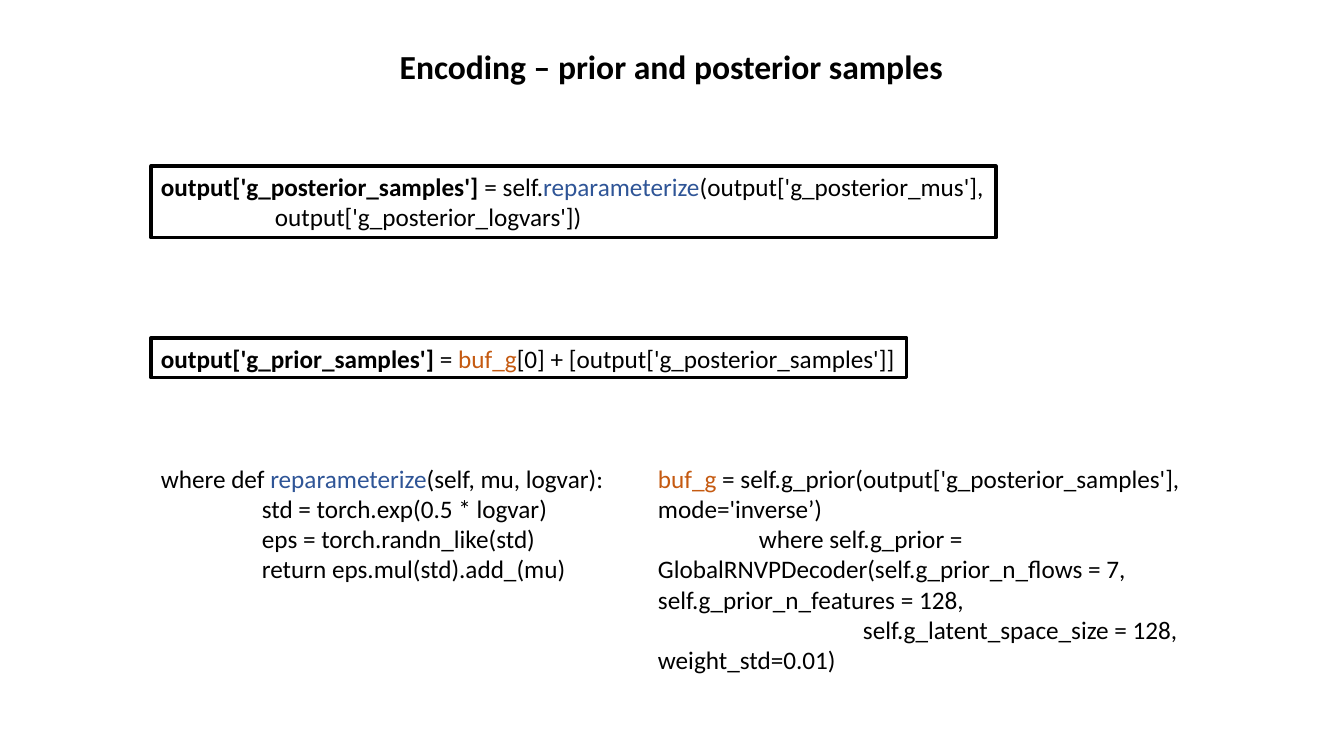
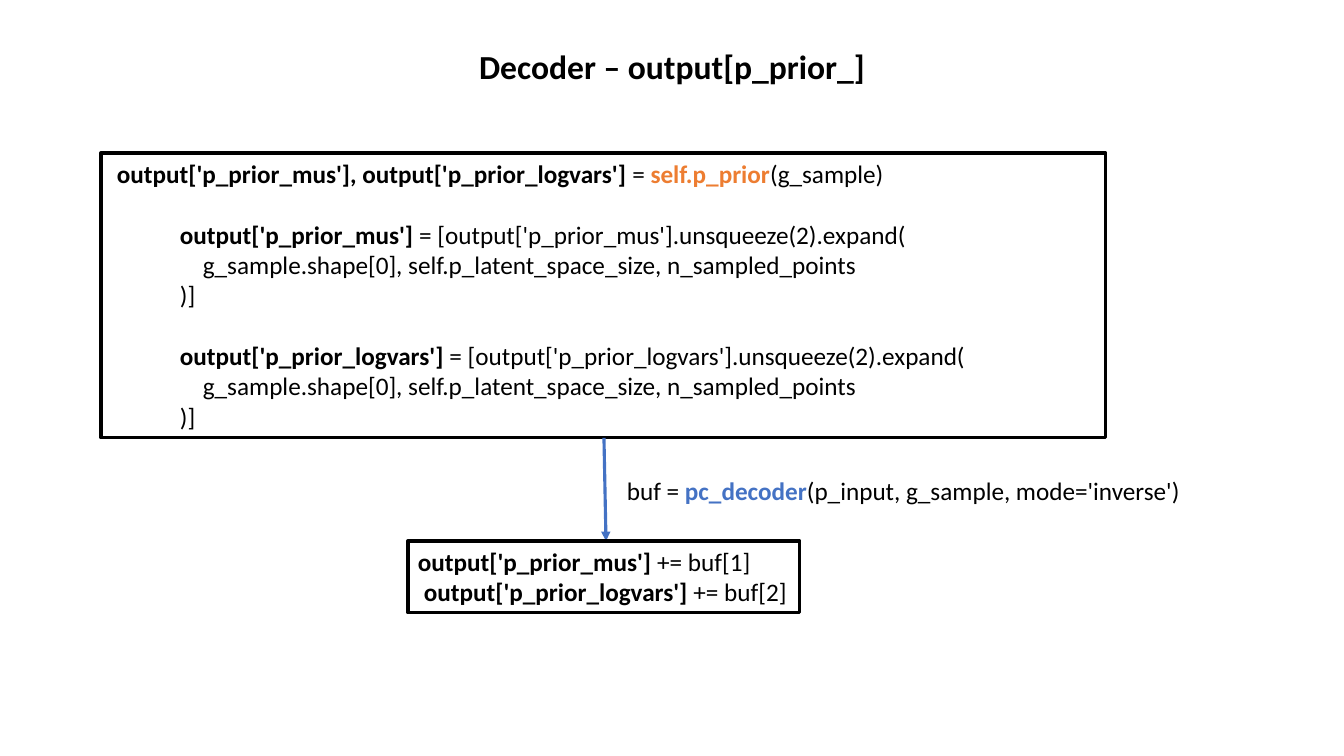
from dataclasses import dataclass

from lxml import etree
from pptx import Presentation, util as u
from pptx.dml.color import RGBColor
from pptx.enum import shapes, text
from pptx.oxml.ns import qn

SCALE = 914400 / 100.8


@dataclass(frozen=True)
class Theme:
    """Colours, font and sizes that the slides share."""
    font: str = "Calibri"
    ink: str = "000000"
    navy: str = "2F5597"
    rust: str = "C55A11"
    orange: str = "ED7D31"
    blue: str = "4472C4"
    title_size: int = 24
    code_size: int = 18
    line_height: int = 22
    stroke: float = 2.25


@dataclass(frozen=True)
class Span:
    """A piece of text with its own colour or weight."""
    text: str
    color: str = Theme.ink
    bold: bool = False


@dataclass(frozen=True)
class Line:
    """A paragraph: its spans, first-line indent and blank lines above."""
    spans: tuple
    indent: int = 0
    gap: int = 0


def line(*parts, indent=0, gap=0):
    """Make a line from spans and plain strings."""
    spans = tuple(Span(part) if isinstance(part, str) else part for part in parts)
    return Line(spans, indent, gap)


def strong(words, color=Theme.ink):
    """Make a bold span."""
    return Span(words, color, True)


def px(pixels):
    """Turn pixels into EMU."""
    return u.Emu(round(pixels * SCALE))


class Builder:
    """Holds the style and the current slide."""

    def __init__(self, deck, theme):
        """Keep the deck and its theme."""
        self.deck, self.theme = deck, theme
        self.page = None

    def add_page(self, title, left, width):
        """Start a blank slide with its title."""
        self.page = self.deck.slides.add_slide(self.deck.slide_layouts[6])
        self.add_text((left, 41, width, 50), [line(strong(title))], wrap=False,
                      size=self.theme.title_size, align=text.PP_ALIGN.CENTER)

    def add_text(self, area, lines, wrap=True, framed=False, size=None,
                 align=text.PP_ALIGN.LEFT):
        """Add a text box, with a black frame if asked."""
        box = self.page.shapes.add_textbox(*map(px, area))
        if framed:
            box.line.color.rgb = RGBColor.from_string(self.theme.ink)
            box.line.width = u.Pt(self.theme.stroke)
        frame = box.text_frame
        frame.word_wrap = wrap
        frame.auto_size = text.MSO_AUTO_SIZE.SHAPE_TO_FIT_TEXT
        for index, item in enumerate(lines):
            para = frame.add_paragraph() if index else frame.paragraphs[0]
            para.alignment = align
            self.fill_paragraph(para, item, size or self.theme.code_size)

    def fill_paragraph(self, para, item, size):
        """Write one line into a paragraph."""
        para.font.name = self.theme.font
        para.font.size = u.Pt(size)
        if item.gap:
            para.space_before = u.Pt(item.gap * self.theme.line_height)
        if item.indent:
            properties = para._p.get_or_add_pPr()
            properties.set("marL", "0")
            properties.set("indent", str(px(item.indent)))
        for span in item.spans:
            run = para.add_run()
            run.text = span.text
            run.font.bold = span.bold
            run.font.color.rgb = RGBColor.from_string(span.color)

    def add_arrow(self, start, end):
        """Add a blue arrow between two points."""
        arrow = self.page.shapes.add_connector(
            shapes.MSO_CONNECTOR.STRAIGHT, *map(px, start + end))
        arrow.line.color.rgb = RGBColor.from_string(self.theme.blue)
        arrow.line.width = u.Pt(self.theme.stroke)
        etree.SubElement(arrow.line._get_or_add_ln(), qn("a:tailEnd"), type="triangle")
        etree.SubElement(arrow._element.spPr, qn("a:effectLst"))


def build_encoding(builder):
    """Build the slide on prior and posterior samples."""
    theme = builder.theme
    left, notes_top, tab = 151, 458, 101
    reparameterize = Span("reparameterize", theme.navy)
    builder.add_page("Encoding – prior and posterior samples", 387, 569)
    builder.add_text((left, 166, 845, 72), [
        line(strong("output['g_posterior_samples'] "), "= self.", reparameterize,
             "(output['g_posterior_mus'],"),
        line("output['g_posterior_logvars'])", indent=114),
    ], wrap=False, framed=True)
    builder.add_text((left, notes_top, 557, 132), [
        line("where def ", reparameterize, "(self, mu, logvar):"),
        line("std = torch.exp(0.5 * logvar)", indent=tab),
        line("eps = torch.randn_like(std)", indent=tab),
        line("return eps.mul(std).add_(mu)", indent=tab),
    ])
    builder.add_text((left, 338, 756, 40), [
        line(strong("output['g_prior_samples'] "), "= ", Span("buf_g", theme.rust),
             "[0] + [output['g_posterior_samples']]"),
    ], wrap=False, framed=True)
    builder.add_text((648, notes_top, 653, 224), [
        line(Span("buf_g ", theme.rust),
             "= self.g_prior(output['g_posterior_samples'], mode='inverse’)"),
        line("where self.g_prior = GlobalRNVPDecoder(self.g_prior_n_flows = 7, "
             "self.g_prior_n_features = 128,", indent=tab),
        line("self.g_latent_space_size = 128, weight_std=0.01)", indent=205),
    ])


def expand_lines(name):
    """List the lines that expand one prior output."""
    return [
        line(strong(f"output['{name}'] "),
             f"= [output['{name}'].unsqueeze(2).expand(", indent=69, gap=1),
        line("g_sample.shape[0], self.p_latent_space_size, n_sampled_points", indent=92),
        line(")]", indent=69),
    ]


def build_decoder(builder):
    """Build the slide on the decoder's prior output."""
    theme = builder.theme
    names = ("p_prior_mus", "p_prior_logvars")
    space = 6
    builder.add_page("Decoder – output[p_prior_]", 467, 410)
    assignment = line(
        strong(", ".join(f"output['{name}']" for name in names) + " "), "= ",
        strong("self.p_prior", theme.orange), "(g_sample)", indent=space)
    expansions = [item for name in names for item in expand_lines(name)]
    builder.add_text((101, 153, 1005, 285), [assignment] + expansions, framed=True)
    builder.add_arrow((604, 438), (606, 541))
    builder.add_text((617, 470, 579, 40), [
        line("buf = ", strong("pc_decoder", theme.blue),
             "(p_input, g_sample, mode='inverse')"),
    ], wrap=False)
    builder.add_text((408, 541, 392, 72), [
        line(strong(f"output['{name}'] "), f"+= buf[{index + 1}]", indent=index * space)
        for index, name in enumerate(names)
    ], framed=True)


def main():
    """Build and save the deck."""
    deck = Presentation()
    deck.slide_width, deck.slide_height = px(1344), px(756)
    builder = Builder(deck, Theme())
    build_encoding(builder)
    build_decoder(builder)
    deck.save("out.pptx")


main()
